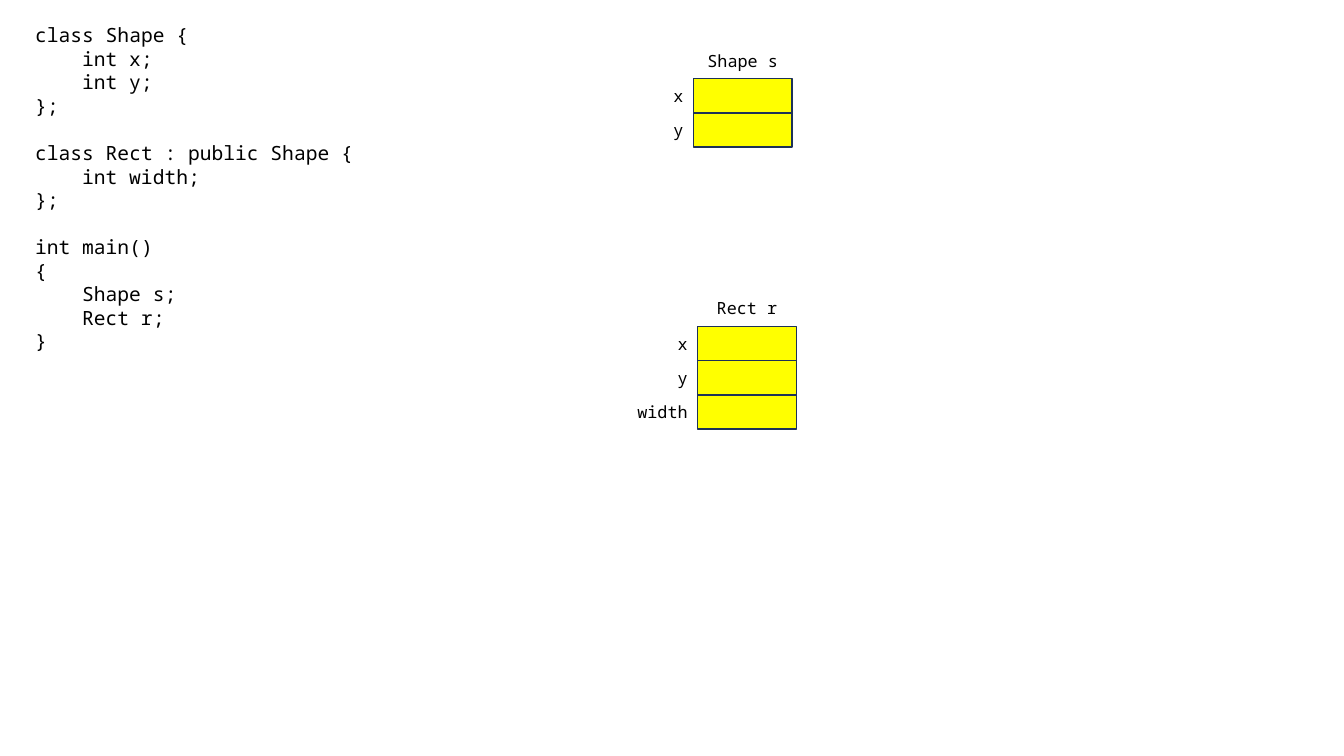
import pptx
import pptx.dml.color
import pptx.enum.shapes
import pptx.enum.text
import pptx.util

Pt = pptx.util.Pt
ALIGN = pptx.enum.text.PP_ALIGN
RECTANGLE = pptx.enum.shapes.MSO_SHAPE.RECTANGLE

COLORS = {"text": "000000", "field": "FFFF00", "border": "1E3256"}
FONT = "Noto Sans Mono"
CODE_SIZE = 14
CODE_INDENT = 33.6
CODE_LINE = 16.9
FIELD_HEIGHT = 24.5

CODE_BLOCKS = [
    [(0, "class Shape {"), (1, "int x;"), (1, "int y;"), (0, "};")],
    [(0, "class Rect : public Shape {"), (1, "int width;"), (0, "};")],
    [(0, "int main()"), (0, "{"), (1, "Shape s;"), (1, "Rect r;"), (0, "}")],
]

OBJECTS = [
    ("Shape s", ["x", "y"], (495.2, 56.2, 70.6)),
    ("Rect r", ["x", "y", "width"], (498.3, 233.1, 70.6)),
]


def rgb(name):
    return pptx.dml.color.RGBColor.from_string(COLORS[name])


def add_text_frame(slide, left, top, width, height):
    sp = slide.shapes.add_textbox(Pt(left), Pt(top), Pt(width), Pt(height))
    tf = sp.text_frame
    tf.word_wrap = True
    tf.auto_size = pptx.enum.text.MSO_AUTO_SIZE.SHAPE_TO_FIT_TEXT
    return tf


def add_run(p, text, size):
    r = p.add_run()
    r.text = text
    r.font.name = FONT
    r.font.size = Pt(size)
    r.font.color.rgb = rgb("text")


def add_label(slide, text, align, left, top, width):
    p = add_text_frame(slide, left, top, width, 21.8).paragraphs[0]
    p.alignment = align
    add_run(p, text, 12)


def add_code(slide, blocks, left, top, width, height):
    tf = add_text_frame(slide, left, top, width, height)
    p = tf.paragraphs[0]
    for b, block in enumerate(blocks):
        for i, (level, text) in enumerate(block):
            if b or i:
                p = tf.add_paragraph()
            if b and i == 0:
                p.space_before = Pt(CODE_LINE)
            p._p.get_or_add_pPr().set("marL", str(Pt(level * CODE_INDENT)))
            add_run(p, text, CODE_SIZE)


def add_object(slide, title, fields, left, top, width):
    add_label(slide, title, ALIGN.CENTER, left - 26.3, top - 23.8, 123.1)
    for i, field in enumerate(fields):
        y = top + i * FIELD_HEIGHT
        sp = slide.shapes.add_shape(
            RECTANGLE, Pt(left), Pt(y), Pt(width), Pt(FIELD_HEIGHT))
        sp.shadow.inherit = False
        sp.fill.solid()
        sp.fill.fore_color.rgb = rgb("field")
        sp.line.color.rgb = rgb("border")
        sp.line.width = Pt(1)
        add_label(slide, field, ALIGN.RIGHT, left - 54.7, y + 1.4, 54.7)


def main():
    prs = pptx.Presentation()
    prs.slide_width = Pt(960)
    prs.slide_height = Pt(540)
    slide = prs.slides.add_slide(prs.slide_layouts[6])
    add_code(slide, CODE_BLOCKS, 18, 13, 480, 244.8)
    for title, fields, box in OBJECTS:
        add_object(slide, title, fields, *box)
    prs.save("out.pptx")


if __name__ == "__main__":
    main()
